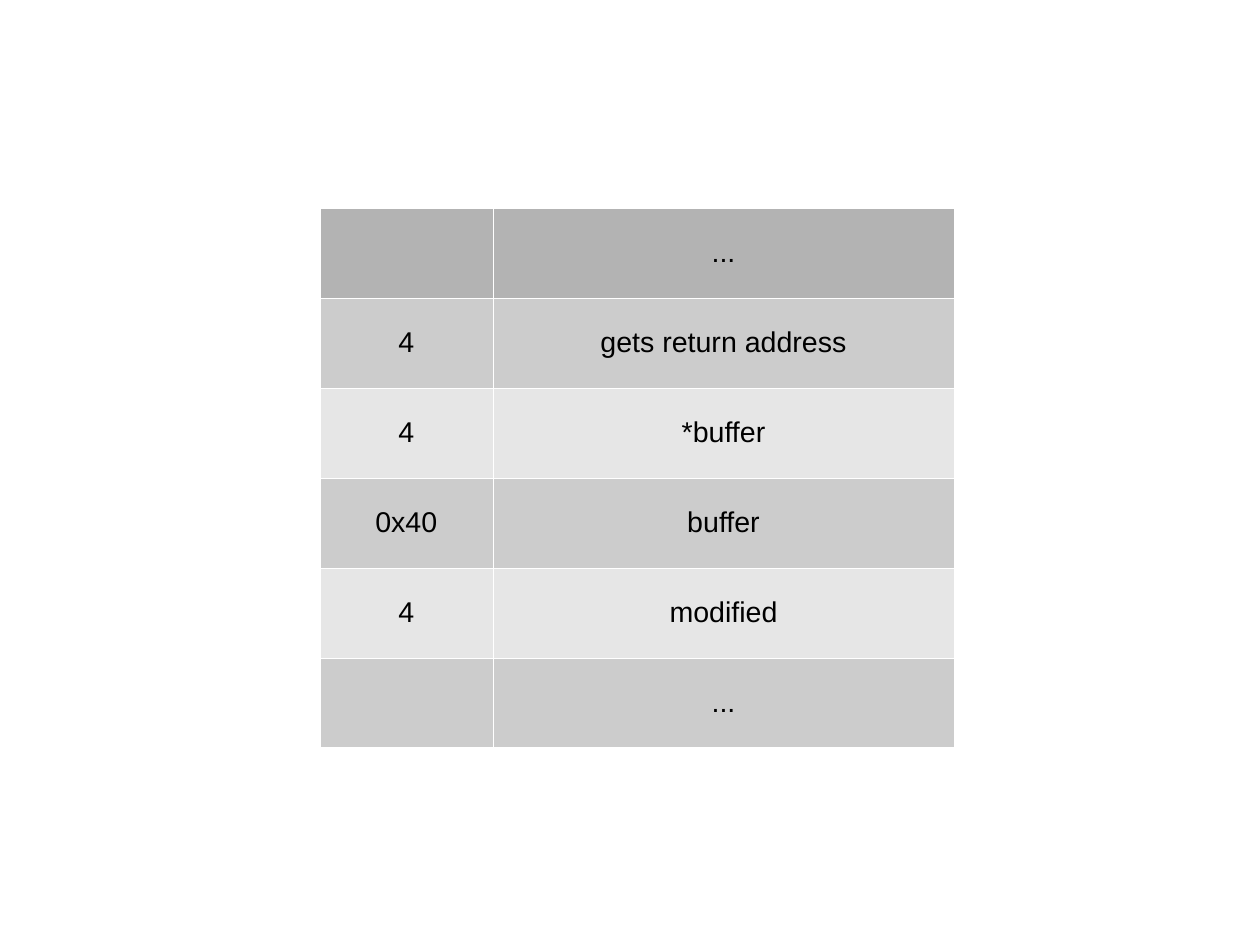
from lxml import etree
from pptx import Presentation
from pptx.dml.color import RGBColor
from pptx.enum.text import MSO_ANCHOR, PP_ALIGN
from pptx.oxml.ns import qn
from pptx.util import Cm, Inches, Pt

STACK_ROWS = [
    ("", "..."),
    ("4", "gets return address"),
    ("4", "*buffer"),
    ("0x40", "buffer"),
    ("4", "modified"),
    ("", "..."),
]

SLIDE_WIDTH, SLIDE_HEIGHT = Cm(28), Cm(21)
TABLE_LEFT, TABLE_TOP = Inches(2.8), Inches(1.82)
TABLE_HEIGHT = Inches(4.72)
COLUMN_WIDTHS = (Inches(1.51), Inches(4.04))
BORDER_WIDTH = Pt(0.06)

BLACK = RGBColor(0x00, 0x00, 0x00)
WHITE = RGBColor(0xFF, 0xFF, 0xFF)
HEADER_GRAY = RGBColor(0xB3, 0xB3, 0xB3)
BAND_GRAYS = (RGBColor(0xE6, 0xE6, 0xE6), RGBColor(0xCC, 0xCC, 0xCC))

CENTER = PP_ALIGN.CENTER
MIDDLE = MSO_ANCHOR.MIDDLE


def add_borders(cell):
    properties = cell._tc.get_or_add_tcPr()
    for side in ("a:lnL", "a:lnR", "a:lnT", "a:lnB"):
        line = etree.SubElement(properties, qn(side), w=str(BORDER_WIDTH))
        fill = etree.SubElement(line, qn("a:solidFill"))
        etree.SubElement(fill, qn("a:srgbClr"), val=str(WHITE))


def format_cell(cell, text, color):
    add_borders(cell)
    cell.fill.solid()
    cell.fill.fore_color.rgb = color
    cell.vertical_anchor = MIDDLE
    cell.text = text
    paragraph = cell.text_frame.paragraphs[0]
    paragraph.alignment = CENTER
    paragraph.font.name = "Arial"
    paragraph.font.size = Pt(18)
    paragraph.font.bold = False
    paragraph.font.color.rgb = BLACK


def main():
    presentation = Presentation()
    presentation.slide_width = SLIDE_WIDTH
    presentation.slide_height = SLIDE_HEIGHT
    slide = presentation.slides.add_slide(presentation.slide_layouts[6])

    table = slide.shapes.add_table(
        len(STACK_ROWS), len(COLUMN_WIDTHS),
        TABLE_LEFT, TABLE_TOP, sum(COLUMN_WIDTHS), TABLE_HEIGHT,
    ).table
    for column, width in zip(table.columns, COLUMN_WIDTHS):
        column.width = width

    for row_index, row in enumerate(STACK_ROWS):
        color = BAND_GRAYS[row_index % 2] if row_index else HEADER_GRAY
        for column_index, text in enumerate(row):
            format_cell(table.cell(row_index, column_index), text, color)

    presentation.save("out.pptx")


if __name__ == "__main__":
    main()
